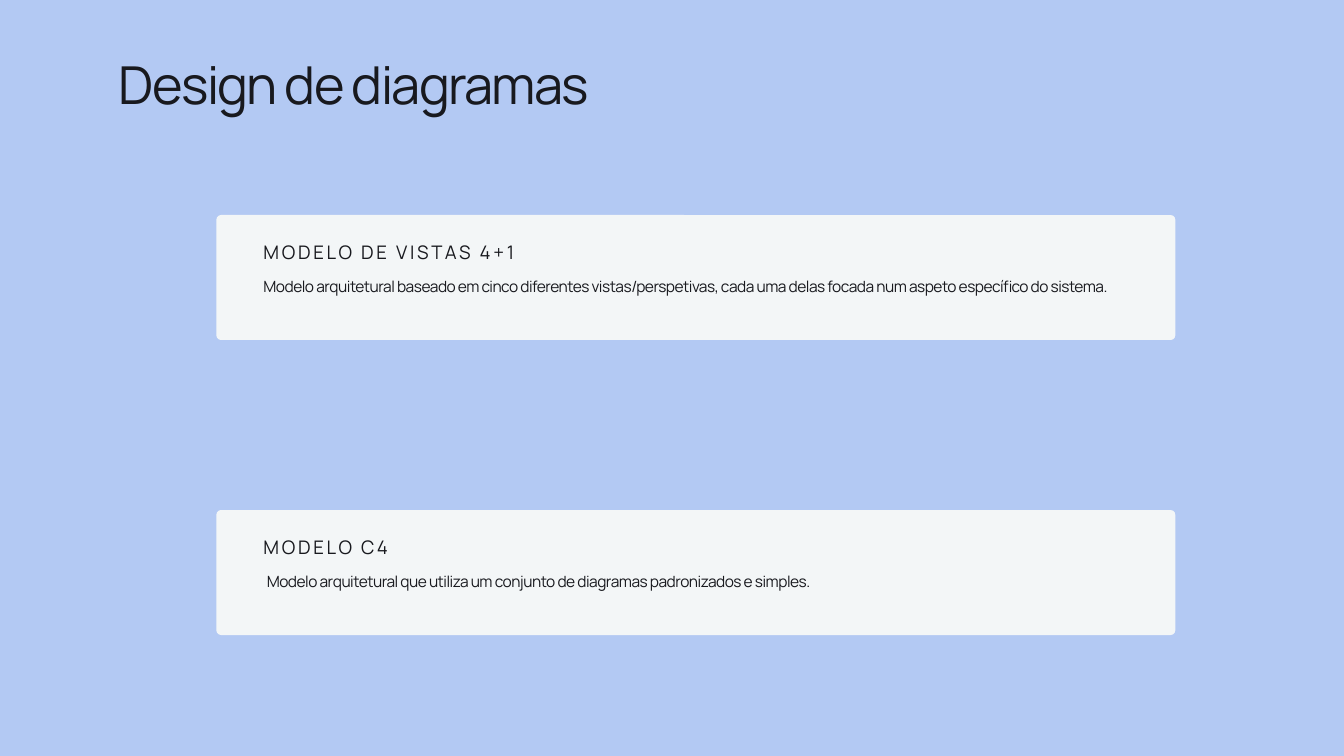
from dataclasses import dataclass

from pptx import Presentation
from pptx.dml.color import RGBColor as Rgb
from pptx.enum.shapes import MSO_SHAPE as Kind
from pptx.enum.text import MSO_ANCHOR as Anchor, MSO_AUTO_SIZE as Fit, PP_ALIGN as Align
from pptx.shapes.base import BaseShape
from pptx.slide import Slide
from pptx.util import Inches, Pt


@dataclass(frozen=True)
class Style:
    size: float
    line: float
    track: int
    align: Align = Align.LEFT


@dataclass(frozen=True)
class Theme:
    back: Rgb = Rgb(0xB3, 0xC9, 0xF3)
    card: Rgb = Rgb(0xF3, 0xF6, 0xF7)
    ink: Rgb = Rgb(0x18, 0x19, 0x1E)
    font: str = "Manrope"
    title: Style = Style(56, 67.2, -180)
    head: Style = Style(20, 24, 290, Align.JUSTIFY)
    body: Style = Style(16.6, 23.2, -50)


@dataclass(frozen=True)
class Card:
    top: float
    head: str
    body: str
    inset: float = 0.7


THEME = Theme()
LEFT, WIDTH, HEIGHT, ROUND = 3.22, 14.27, 1.86, 0.07
CARDS = (
    Card(3.2, "MODELO DE VISTAS 4+1",
         "Modelo arquitetural baseado em cinco diferentes vistas/perspetivas, "
         "cada uma delas focada num aspeto específico do sistema."),
    Card(7.59, "MODELO C4",
         "Modelo arquitetural que utiliza um conjunto de diagramas "
         "padronizados e simples.", 0.75),
)


def apply(item: object, values: dict) -> None:
    for name, value in values.items():
        setattr(item, name, value)


def write(shape: BaseShape, text: str, style: Style) -> None:
    frame = shape.text_frame
    apply(frame, dict(margin_left=0, margin_top=0, margin_right=0, margin_bottom=0,
                      word_wrap=True, auto_size=Fit.NONE, vertical_anchor=Anchor.TOP))
    para = frame.paragraphs[0]
    apply(para, dict(alignment=style.align, line_spacing=Pt(style.line)))
    run = para.add_run()
    run.text = text
    apply(run.font, dict(name=THEME.font, size=Pt(style.size)))
    run.font.color.rgb = THEME.ink
    run.font._element.set("spc", str(style.track))


def label(slide: Slide, left: float, top: float, width: float, height: float,
          text: str, style: Style) -> None:
    box = slide.shapes.add_textbox(*map(Inches, (left, top, width, height)))
    write(box, text, style)


def draw(slide: Slide, card: Card) -> None:
    panel = slide.shapes.add_shape(
        Kind.ROUNDED_RECTANGLE, *map(Inches, (LEFT, card.top, WIDTH, HEIGHT)))
    panel.adjustments[0] = ROUND / HEIGHT
    panel.shadow.inherit = False
    panel.fill.solid()
    panel.fill.fore_color.rgb = THEME.card
    panel.line.fill.background()
    label(slide, LEFT + 0.7, card.top + 0.39, 7.15, 0.36, card.head, THEME.head)
    label(slide, LEFT + card.inset, card.top + 0.88, 12.75, 0.33, card.body, THEME.body)


def main() -> None:
    deck = Presentation()
    apply(deck, dict(slide_width=Inches(20), slide_height=Inches(11.25)))
    slide = deck.slides.add_slide(deck.slide_layouts[5])
    slide.background.fill.solid()
    slide.background.fill.fore_color.rgb = THEME.back
    title = slide.shapes.title
    apply(title, dict(left=Inches(1.77), top=Inches(0.77),
                      width=Inches(8.23), height=Inches(0.99)))
    write(title, "Design de diagramas", THEME.title)
    for card in CARDS:
        draw(slide, card)
    deck.save("out.pptx")


if __name__ == "__main__":
    main()
